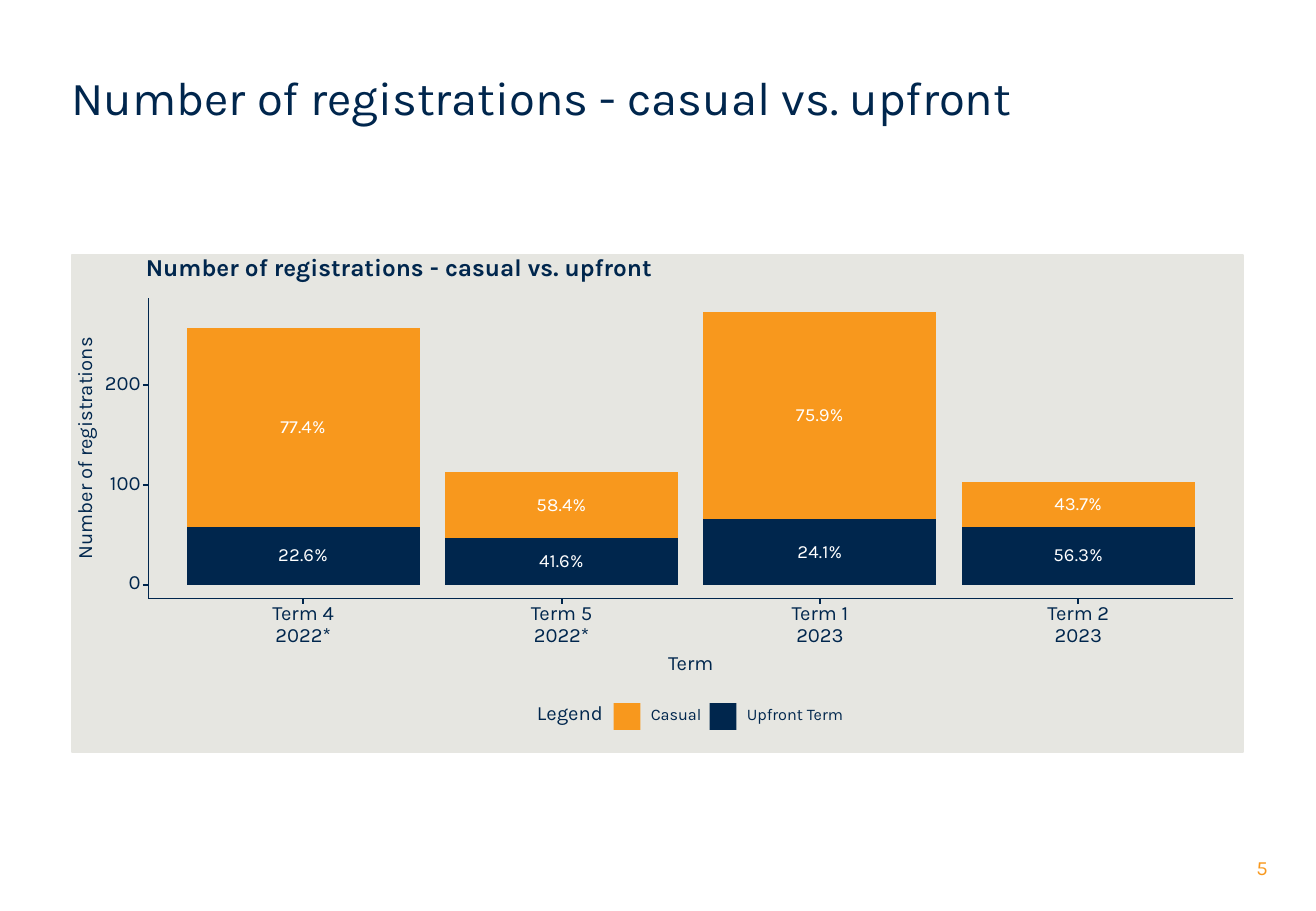
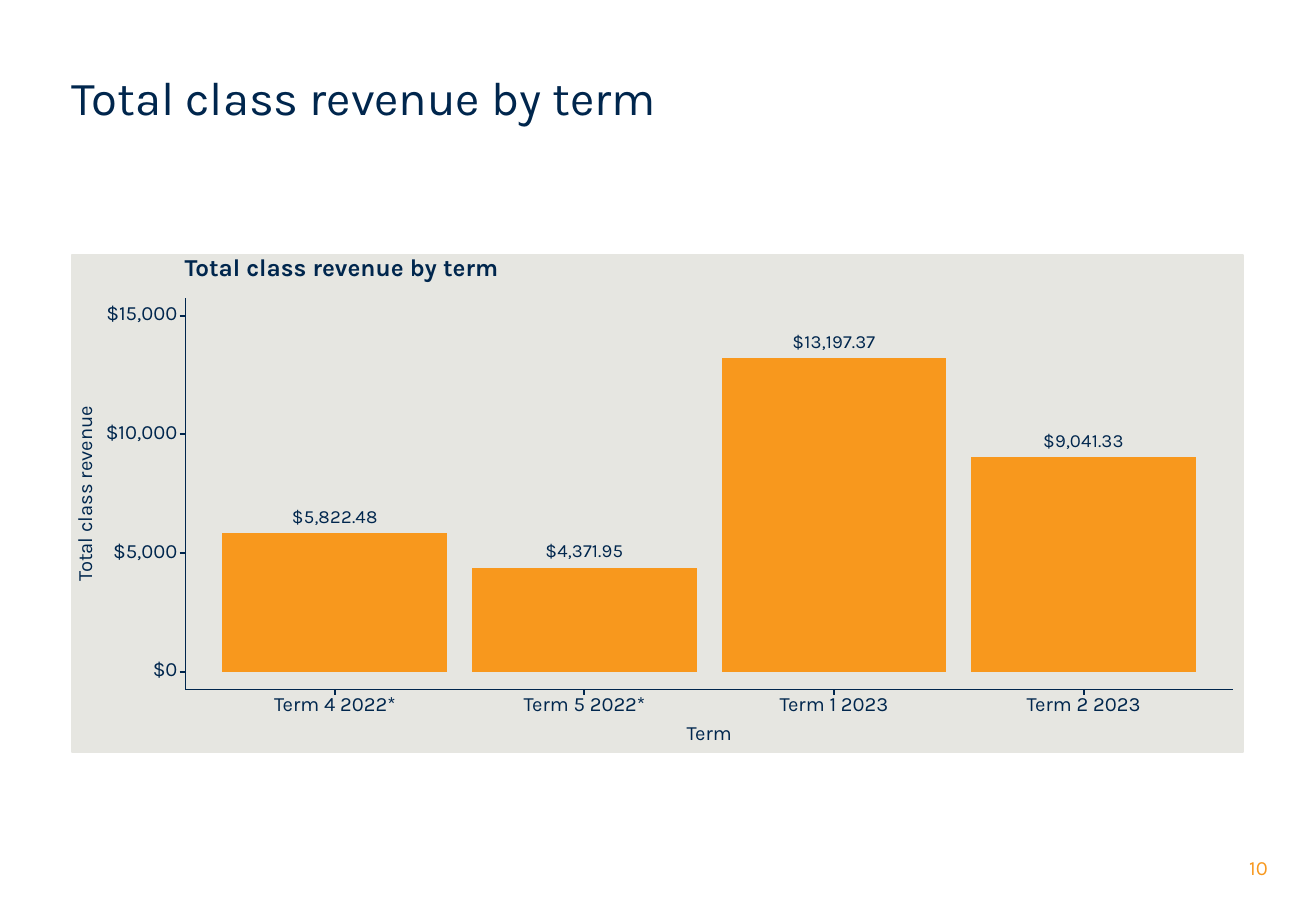
import pptx
import pptx.chart.data
import pptx.dml.color
import pptx.enum.chart
import pptx.enum.shapes
import pptx.enum.text
import pptx.oxml
import pptx.oxml.ns
import pptx.util

Pt = pptx.util.Pt
RGBColor = pptx.dml.color.RGBColor
ALIGN = pptx.enum.text.PP_ALIGN
ANCHOR = pptx.enum.text.MSO_ANCHOR
LABEL = pptx.enum.chart.XL_LABEL_POSITION
CHART = pptx.enum.chart.XL_CHART_TYPE
SHAPE = pptx.enum.shapes.MSO_SHAPE
STRAIGHT = pptx.enum.shapes.MSO_CONNECTOR.STRAIGHT

# Shared style
NAVY = RGBColor(0x00, 0x26, 0x4D)
ORANGE = RGBColor(0xF8, 0x98, 0x1D)
STONE = RGBColor(0xE6, 0xE6, 0xE1)
WHITE = RGBColor(0xFF, 0xFF, 0xFF)
FONT = "Karla"
MARGIN, CONTENT_W = 42.5, 694
PLOT_TOP, PLOT_RIGHT = 176.6, 730.8
TICK = 3.2

TERMS = ["Term 4 2022*", "Term 5 2022*", "Term 1 2023", "Term 2 2023"]


def style_font(font, size, color, bold=False):
    font.name, font.size, font.bold = FONT, Pt(size), bold
    font.color.rgb = color


def add_text(s, lines, x, y, w, h, size=12, color=NAVY, align=ALIGN.CENTER,
             anchor=ANCHOR.MIDDLE, bold=False, spacing=None):
    sp = s.shapes.add_textbox(Pt(x), Pt(y), Pt(w), Pt(h))
    tf = sp.text_frame
    tf.word_wrap = True
    tf.vertical_anchor = anchor
    tf.margin_left = tf.margin_right = tf.margin_top = tf.margin_bottom = 0
    for i, line in enumerate(lines):
        p = tf.add_paragraph() if i else tf.paragraphs[0]
        p.alignment = align
        p.line_spacing = Pt(spacing or size)
        r = p.add_run()
        r.text = line
        style_font(r.font, size, color, bold)
    return sp


def add_rect(s, x, y, w, h, fill):
    sp = s.shapes.add_shape(SHAPE.RECTANGLE, Pt(x), Pt(y), Pt(w), Pt(h))
    sp.shadow.inherit = False
    sp.fill.solid()
    sp.fill.fore_color.rgb = fill
    sp.line.fill.background()
    return sp


def add_line(s, x1, y1, x2, y2, width):
    ln = s.shapes.add_connector(STRAIGHT, Pt(x1), Pt(y1), Pt(x2), Pt(y2))
    ln.line.color.rgb = NAVY
    ln.line.width = Pt(width)
    ln._element.spPr.append(pptx.oxml.parse_xml(
        "<a:effectLst %s/>" % pptx.oxml.ns.nsdecls("a")))


def add_slide(prs, title, number):
    s = prs.slides.add_slide(prs.slide_layouts[5])
    sp = s.shapes.title
    sp.left, sp.top, sp.width, sp.height = (
        Pt(MARGIN), Pt(39.6), Pt(CONTENT_W), Pt(39.6))
    tf = sp.text_frame
    tf.auto_size = pptx.enum.text.MSO_AUTO_SIZE.NONE
    tf.vertical_anchor = ANCHOR.MIDDLE
    tf.margin_left = tf.margin_right = 0
    p = tf.paragraphs[0]
    p.alignment, p.line_spacing = ALIGN.LEFT, 0.9
    r = p.add_run()
    r.text = title
    style_font(r.font, 28, NAVY)
    add_text(s, [number], 696, 507.5, 55.2, 16, color=ORANGE, align=ALIGN.RIGHT,
             anchor=ANCHOR.TOP, spacing=14)
    panel = add_rect(s, MARGIN, 151, CONTENT_W, 295, STONE)
    panel.line.color.rgb = STONE
    panel.line.width = Pt(1.16)
    return s


def fill_frame(chart):
    """Let the bars fill the whole chart frame, on a clear background."""
    clear = ("<c:spPr %s><a:noFill/><a:ln><a:noFill/></a:ln></c:spPr>"
             % pptx.oxml.ns.nsdecls("c", "a"))
    sides = "".join('<c:%s val="%s"/>' % pair for pair in (
        ("layoutTarget", "inner"), ("xMode", "edge"), ("yMode", "edge"),
        ("x", 0), ("y", 0), ("w", 1), ("h", 1)))
    space = chart._chartSpace
    area = space.chart.plotArea
    for old in area.findall(pptx.oxml.ns.qn("c:layout")):
        area.remove(old)
    area.insert(0, pptx.oxml.parse_xml(
        "<c:layout %s><c:manualLayout>%s</c:manualLayout></c:layout>"
        % (pptx.oxml.ns.nsdecls("c"), sides)))
    area.append(pptx.oxml.parse_xml(clear))
    space.chart.addnext(pptx.oxml.parse_xml(clear))


def add_bars(s, kind, series, x, y, w, h, top_value):
    data = pptx.chart.data.CategoryChartData()
    data.categories = TERMS
    for name, values, _ in series:
        data.add_series(name, values)
    chart = s.shapes.add_chart(kind, Pt(x), Pt(y), Pt(w), Pt(h), data).chart
    chart.has_legend = chart.has_title = False
    style_font(chart.font, 11, NAVY)
    fill_frame(chart)
    axis = chart.value_axis
    axis.minimum_scale, axis.maximum_scale = 0, top_value
    axis.has_major_gridlines = False
    axis.visible = chart.category_axis.visible = False
    plot = chart.plots[0]
    plot.vary_by_categories = False
    plot.gap_width = 11
    for ser, (_, _, color) in zip(plot.series, series):
        ser.format.fill.solid()
        ser.format.fill.fore_color.rgb = color
    return plot


def add_graph(s, title, title_x, y_title, kind, series, left, bottom, ticks,
              categories, x_title_y):
    """Bars with 5 % headroom and 0.6 of a step beside the outer centres."""
    width, height = PLOT_RIGHT - left, bottom - PLOT_TOP
    step = width / (len(TERMS) + 0.2)
    zero = bottom - height / 22
    totals = map(sum, zip(*(values for _, values, _ in series)))
    peak = max(*totals, ticks[-1][0])
    unit = height / (1.1 * peak)
    plot = add_bars(s, kind, series, left + step * 0.1, PLOT_TOP,
                    step * len(TERMS), zero - PLOT_TOP, round(1.05 * peak, 2))

    # Value axis
    add_line(s, left, bottom, left, PLOT_TOP, 0.57)
    for value, label in ticks:
        y = zero - value * unit
        add_line(s, left - TICK, y, left, y, 1.16)
        add_text(s, [label], left - 54.5, y - 6.5, 50, 12, align=ALIGN.RIGHT)

    # Category axis
    add_line(s, left, bottom, PLOT_RIGHT, bottom, 0.57)
    for i, lines in enumerate(categories):
        x = left + step * (0.6 + i)
        add_line(s, x, bottom + TICK, x, bottom, 1.16)
        add_text(s, lines, x - step / 2, bottom + 2.4, step, 13 * len(lines),
                 anchor=ANCHOR.TOP, spacing=13)

    # Titles
    add_text(s, ["Term"], left, x_title_y - 6, width, 12)
    y_name = add_text(s, [y_title], 51 - 80, PLOT_TOP + height / 2 - 6, 160, 12)
    y_name.rotation = 270
    add_text(s, [title], title_x, 152.2, 400, 14.4, size=14.4, align=ALIGN.LEFT,
             bold=True)
    return plot


def add_legend(s, entries, y):
    add_text(s, ["Legend"], 318.2, y - 6.5, 42, 12, align=ALIGN.LEFT)
    for i, (name, color) in enumerate(entries):
        x = 363.6 + 56.9 * i
        add_rect(s, x, y - 7.2, 15.8, 15.8, color)
        add_text(s, [name], x + 22, y - 4.8, 70, 9.6, size=9.6, align=ALIGN.LEFT)


def registrations_slide(prs):
    title = "Number of registrations - casual vs. upfront"
    s = add_slide(prs, title, "5")
    series = [("Upfront Term", (58, 47, 66, 58), NAVY),
              ("Casual", (199, 66, 208, 45), ORANGE)]
    plot = add_graph(s, title, 86.4, "Number of registrations",
                     CHART.COLUMN_STACKED, series, 87.8, 354.7,
                     [(v, str(v)) for v in (0, 100, 200)],
                     [term.rsplit(" ", 1) for term in TERMS], 393.8)
    plot.overlap = 100
    # Shares of each term's total
    totals = [sum(pair) for pair in zip(*(values for _, values, _ in series))]
    for ser in plot.series:
        for i, (value, total) in enumerate(zip(ser.values, totals)):
            label = ser.points[i].data_label
            r = label.text_frame.paragraphs[0].add_run()
            r.text = f"{value / total:.1%}"
            style_font(r.font, 11, WHITE)
            label.position = LABEL.CENTER
    add_legend(s, [(name, color) for name, _, color in reversed(series)], 424)


def revenue_slide(prs):
    title = "Total class revenue by term"
    s = add_slide(prs, title, "10")
    series = [("Total class revenue", (5822.48, 4371.95, 13197.37, 9041.33), ORANGE)]
    plot = add_graph(s, title, 109.4, "Total class revenue",
                     CHART.COLUMN_CLUSTERED, series, 109.7, 408.7,
                     [(v, f"${v:,}") for v in range(0, 15001, 5000)],
                     [[term] for term in TERMS], 435.6)
    plot.has_data_labels = True
    labels = plot.data_labels
    labels.show_value = True
    labels.number_format, labels.number_format_is_linked = "$#,##0.00", False
    labels.position = LABEL.OUTSIDE_END
    style_font(labels.font, 11, NAVY)


def main():
    prs = pptx.Presentation()
    prs.slide_width, prs.slide_height = Pt(779.76), Pt(540)
    registrations_slide(prs)
    revenue_slide(prs)
    prs.save("out.pptx")


if __name__ == "__main__":
    main()
